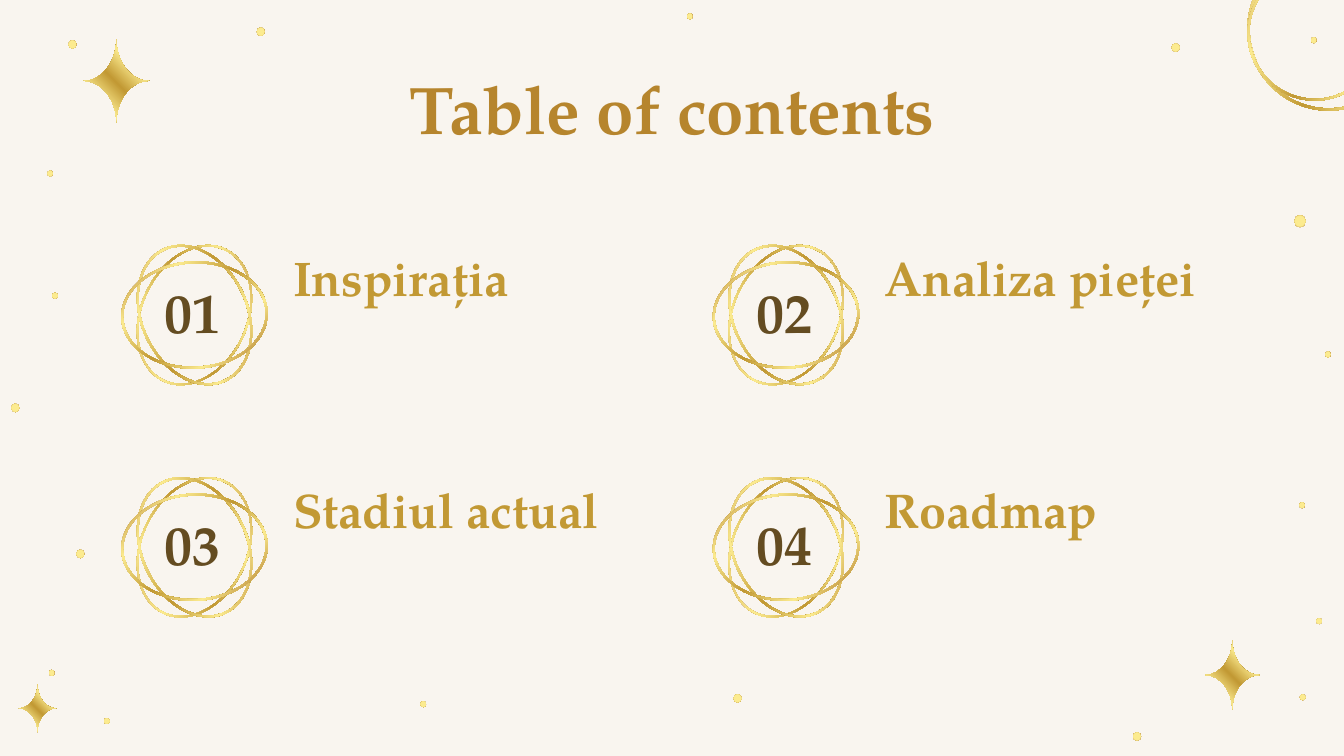
from lxml.etree import SubElement
from pptx import Presentation
from pptx.dml.color import RGBColor
from pptx.enum.shapes import MSO_SHAPE
from pptx.enum.text import MSO_ANCHOR, PP_ALIGN
from pptx.oxml.ns import qn
from pptx.util import Cm, Pt

FONT = "TeX Gyre Pagella"
GOLD = [(0, "B88532"), (9, "C99F4A"), (25, "FCEB8F"), (49, "C29934"),
        (72, "FCEB8F"), (86, "C99F4A"), (100, "B88532")]
STAR = [(pos, "C29934" if pos == 9 else tone) for pos, tone in GOLD]
GLOW = [(0, "FCEB8F"), (21, "FCEB8F"), (52, "FCEB8F"),
        (79, "C99F4A"), (100, "C29934")]
DOTS = {
    0.2: [(0.29, 7.71), (13.94, 13.2), (1.52, 10.47), (4.93, 0.6),
          (1.37, 0.84), (22.22, 0.9), (21.49, 13.92)],
    0.28: [(24.57, 4.18)],
    0.14: [(0.98, 12.72), (24.83, 0.76), (1.04, 5.59), (0.95, 3.28),
           (2.02, 13.63), (8, 13.31), (24.93, 11.74), (24.62, 13.18),
           (24.61, 9.55), (25.1, 6.7), (13.04, 0.31)],
}
ITEMS = ["Inspirația", "Analiza pieței", "Stadiul actual", "Roadmap"]
OVALS = [(295.1, 0.015, False), (244.9, 0.018, True), (357.6, 0.019, False)]


def color(code):
    return RGBColor.from_string(code)


def paint(shape, stops, angle=None):
    shape.shadow.inherit = False
    shape.line.fill.background()
    shape.fill.solid()
    solid = shape._element.spPr.find(qn("a:solidFill"))
    grad = SubElement(shape._element.spPr, qn("a:gradFill"))
    solid.getparent().replace(solid, grad)
    items = SubElement(grad, qn("a:gsLst"))
    for pos, tone in stops:
        stop = SubElement(items, qn("a:gs"), pos=str(pos * 1000))
        SubElement(stop, qn("a:srgbClr"), val=tone)
    if angle is None:
        path = SubElement(grad, qn("a:path"), path="circle")
        SubElement(path, qn("a:fillToRect"), l="50000", t="50000",
                   r="50000", b="50000")
    else:
        SubElement(grad, qn("a:lin"), ang=str(angle * 60000), scaled="0")


def bend(shape):
    lines = list(shape._element.iter(qn("a:lnTo")))
    for i in range(0, len(lines), 3):
        trio = lines[i:i + 3]
        curve = SubElement(trio[0].getparent(), qn("a:cubicBezTo"))
        trio[0].addprevious(curve)
        for line in trio:
            curve.append(line[0])
            line.getparent().remove(line)


def outline(slide, x, y, wide, high, loops):
    loops = [[(Cm(x + wide * u), Cm(y + high * v)) for u, v in loop]
             for loop in loops]
    pen = slide.shapes.build_freeform(*loops[0][0])
    pen.add_line_segments(loops[0][1:])
    for loop in loops[1:]:
        pen.move_to(*loop[0])
        pen.add_line_segments(loop[1:])
    shape = pen.convert_to_shape()
    bend(shape)
    return shape


def quad(first, second):
    loop, curve = [(0, -1)], [first, second, (-1, 0)]
    for _ in range(4):
        loop += curve
        curve = [(v, -u) for u, v in curve]
    return loop


def dot(slide, x, y, wide):
    loop = [(0, 1), (-1, 1), (-1, -1), (0, -1), (1, -1), (1, 1), (0, 1)]
    paint(outline(slide, x, y, wide / 2, wide * 0.4, [loop]), GLOW)


def hoop(slide, x, y, wide, high):
    ring = quad((-0.55, -1), (-1, -0.55))
    inner = [(0.97 * u, 0.97 * v) for u, v in reversed(ring)]
    shape = outline(slide, x, y, wide, high, [ring, inner])
    shape.rotation = 330.4
    paint(shape, GOLD, 45)


def star(slide, x, y, wide, high):
    loop = quad((0, -0.45), (-0.45, 0))
    paint(outline(slide, x, y, wide, high, [loop]), STAR, 315)


def label(slide, text, box, size, tone, align=PP_ALIGN.LEFT,
          anchor=MSO_ANCHOR.TOP):
    frame = slide.shapes.add_textbox(*map(Cm, box)).text_frame
    frame.word_wrap = True
    frame.vertical_anchor = anchor
    frame.margin_left = frame.margin_right = Cm(0.25)
    frame.margin_top = frame.margin_bottom = Cm(0.25)
    para = frame.paragraphs[0]
    para.alignment = align
    run = para.add_run()
    run.text = text
    run.font.name = FONT
    run.font.size = Pt(size)
    run.font.bold = True
    run.font.color.rgb = color(tone)


def badge(slide, x, y):
    group = slide.shapes.add_group_shape()
    for turn, thick, flip in OVALS:
        shape = group.shapes.add_shape(MSO_SHAPE.DONUT, Cm(x), Cm(y),
                                       Cm(2.77), Cm(2.03))
        shape.adjustments[0] = thick
        shape.rotation = turn
        if flip:
            shape._element.spPr.xfrm.set("flipH", "1")
        paint(shape, GOLD, 45)


def place(index):
    row, col = divmod(index, 2)
    return 2.29 + 11.18 * col, 4.94 + 4.39 * row


def main():
    deck = Presentation()
    deck.slide_width, deck.slide_height = Cm(25.4), Cm(14.29)
    slide = deck.slides.add_slide(deck.slide_layouts[6])
    slide.background.fill.solid()
    slide.background.fill.fore_color.rgb = color("F9F5EF")
    for wide, spots in DOTS.items():
        for x, y in spots:
            dot(slide, x, y, wide)
    hoop(slide, 25.08, 0.57, 1.5, 1.53)
    hoop(slide, 24.83, 0.64, 1.25, 1.27)
    star(slide, 2.2, 1.53, 0.62, 0.79)
    star(slide, 23.29, 12.76, 0.51, 0.66)
    star(slide, 0.71, 13.39, 0.35, 0.45)
    spots = [place(index) for index in range(len(ITEMS))]
    for (x, y), text in zip(spots, ITEMS):
        label(slide, text, (x + 3, y - 0.5, 6.75, 1.35), 26, "C29934")
    for index, (x, y) in enumerate(spots, 1):
        label(slide, f"{index:02}", (x + 0.17, y + 0.27, 2.36, 1.35), 30,
              "644C21", PP_ALIGN.CENTER, MSO_ANCHOR.MIDDLE)
    label(slide, "Table of contents", (1.98, 1.02, 21.44, 1.6), 36,
          "B6852D", PP_ALIGN.CENTER)
    for x, y in spots:
        badge(slide, x, y)
    deck.save("out.pptx")


if __name__ == "__main__":
    main()
